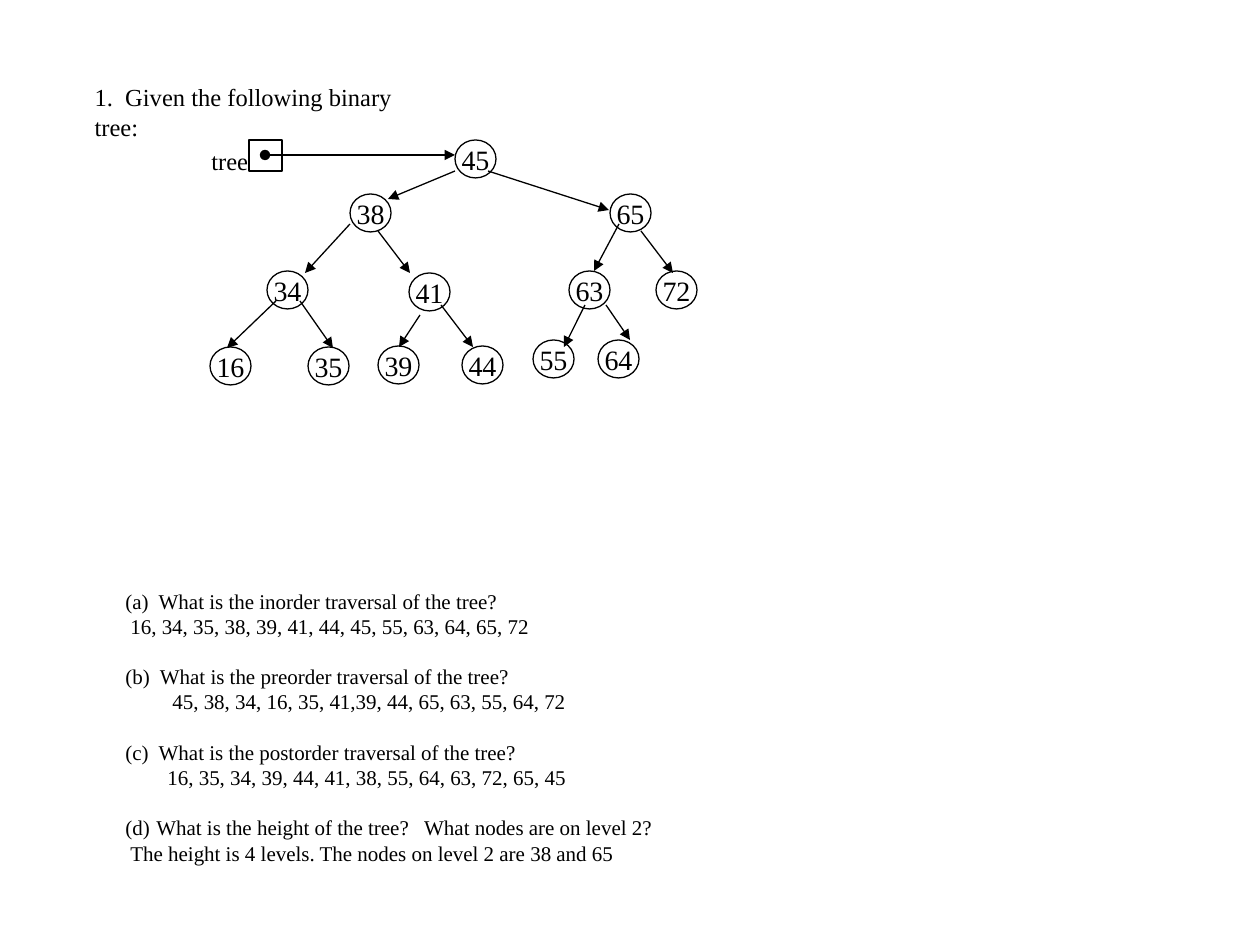
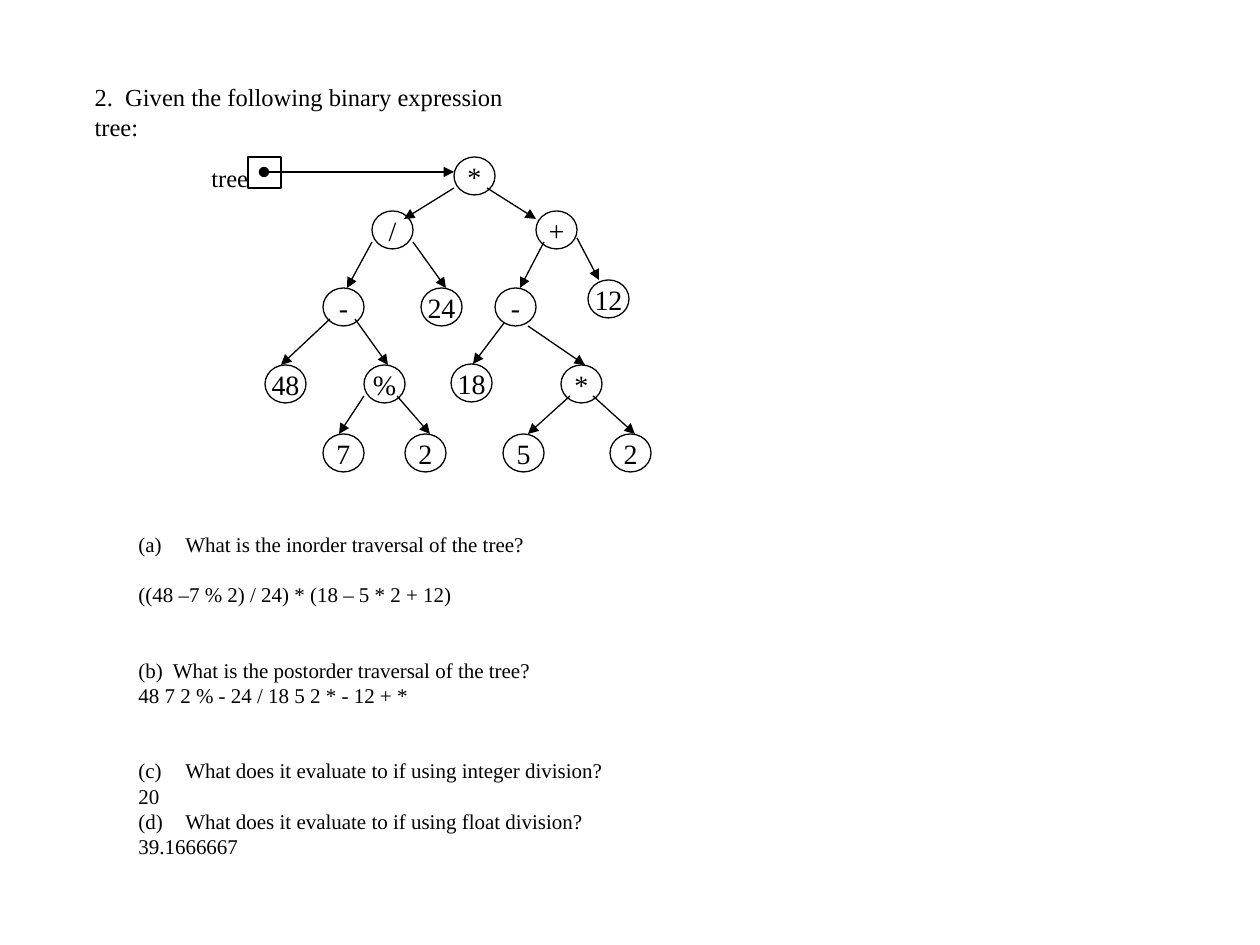
from pptx import Presentation
from pptx.dml.color import RGBColor
from pptx.enum.shapes import MSO_CONNECTOR, MSO_SHAPE
from pptx.enum.text import MSO_ANCHOR, MSO_AUTO_SIZE, PP_ALIGN
from pptx.oxml.ns import qn
from pptx.util import Pt
from lxml import etree

EMU_PER_PIXEL = 914400 / 126
BLACK = RGBColor(0, 0, 0)
FONT = "Times New Roman"
LINE_WIDTH = Pt(0.75)
LINE_SPACING = 1.2
HEADING_SIZE, QUESTION_SIZE, NODE_SIZE = 14, 12, 16
NODE_WIDTH, NODE_HEIGHT = 41, 38
ELLIPSE, RECTANGLE = MSO_SHAPE.OVAL, MSO_SHAPE.RECTANGLE
STRAIGHT = MSO_CONNECTOR.STRAIGHT
LEFT, CENTER = PP_ALIGN.LEFT, PP_ALIGN.CENTER

TEXT_FRAME = {"auto_size": MSO_AUTO_SIZE.NONE, "word_wrap": True,
              "vertical_anchor": MSO_ANCHOR.TOP}
LABEL_FRAME = {**TEXT_FRAME, "word_wrap": False}
NODE_FRAME = {**LABEL_FRAME, "vertical_anchor": MSO_ANCHOR.MIDDLE,
              "margin_left": 0, "margin_right": 0, "margin_top": 0, "margin_bottom": 0}

# Nodes: label, left, top. Arrows: start x, start y, end x, end y.
# Questions: text, indent, blank lines above, list number (None for plain text).
SLIDES = [
    {
        "title": "1.  Given the following binary tree:",
        "title_width": 365,
        "pointer": (249, 140),
        "nodes": [
            ("45", 455, 140), ("38", 350, 194), ("65", 610, 194),
            ("34", 267, 271), ("41", 409, 273), ("63", 569, 271), ("72", 656, 271),
            ("16", 210, 347), ("35", 308, 347), ("39", 378, 346), ("44", 462, 346),
            ("55", 533, 340), ("64", 598, 340),
        ],
        "arrows": [
            (455, 171, 388, 199), (488, 171, 609, 210),
            (350, 224, 305, 273), (378, 231, 410, 273),
            (619, 224, 594, 271), (641, 231, 673, 273),
            (276, 301, 227, 348), (300, 301, 333, 348),
            (420, 315, 399, 347), (441, 305, 473, 347),
            (585, 305, 564, 347), (606, 305, 630, 340),
        ],
        "question_box": (113, 582, 666, 292),
        "questions": [
            ("(a)  What is the inorder traversal of the tree?", 0, 0, None),
            ("16, 34, 35, 38, 39, 41, 44, 45, 55, 63, 64, 65, 72", 5, 0, None),
            ("(b)  What is the preorder traversal of the tree?", 0, 1, None),
            ("45, 38, 34, 16, 35, 41,39, 44, 65, 63, 55, 64, 72", 47, 0, None),
            ("(c)  What is the postorder traversal of the tree?", 0, 1, None),
            ("16, 35, 34, 39, 44, 41, 38, 55, 64, 63, 72, 65, 45", 42, 0, None),
            ("What is the height of the tree?   What nodes are on level 2?", 31, 1, 4),
            ("The height is 4 levels. The nodes on level 2 are 38 and 65", 5, 0, None),
        ],
    },
    {
        "title": "2.  Given the following binary expression tree:",
        "title_width": 475,
        "pointer": (248, 157),
        "nodes": [
            ("*", 454, 157), ("/", 372, 211), ("+", 536, 211),
            ("-", 323, 288), ("24", 421, 288), ("-", 495, 288), ("12", 588, 280),
            ("48", 265, 365), ("%", 364, 365), ("18", 451, 364), ("*", 561, 365),
            ("7", 323, 434), ("2", 405, 434), ("5", 503, 434), ("2", 610, 434),
        ],
        "arrows": [
            (454, 188, 404, 219), (487, 188, 536, 219),
            (372, 242, 347, 288), (413, 242, 446, 288),
            (544, 242, 520, 288), (577, 238, 599, 280),
            (330, 319, 281, 365), (355, 319, 388, 365),
            (504, 323, 473, 364), (528, 326, 585, 365),
            (364, 396, 339, 434), (397, 396, 430, 434),
            (570, 396, 528, 434), (593, 396, 635, 434),
        ],
        "question_box": (126, 525, 496, 394),
        "questions": [
            ("What is the inorder traversal of the tree?", 47, 0, 1),
            ("((48 –7 % 2) / 24) * (18 – 5 * 2 + 12)", 0, 1, None),
            ("(b)  What is the postorder traversal of the tree?", 0, 2, None),
            ("48 7 2 % - 24 / 18 5 2 * - 12 + *", 0, 0, None),
            ("What does it evaluate to if using integer division?", 47, 2, 3),
            ("20", 0, 0, None),
            ("What does it evaluate to if using float division?", 47, 0, 4),
            ("39.1666667", 0, 0, None),
        ],
    },
]


def pixels(*lengths):
    """Turn pixel lengths into a list of EMU lengths."""
    return [round(length * EMU_PER_PIXEL) for length in lengths]


def write(shape, lines, size, frame_format, alignment=LEFT):
    """Fill a shape with lines of (text, indent, blank lines above, list number)."""
    frame = shape.text_frame
    for name, value in frame_format.items():
        setattr(frame, name, value)
    for index, (text, indent, blank_lines, number) in enumerate(lines):
        paragraph = frame.add_paragraph() if index else frame.paragraphs[0]
        paragraph.alignment = alignment
        paragraph.line_spacing = Pt(size * LINE_SPACING)
        paragraph.space_before = Pt(size * LINE_SPACING * blank_lines)
        run = paragraph.add_run()
        run.text = text
        for name, value in {"name": FONT, "size": Pt(size), "bold": False}.items():
            setattr(run.font, name, value)
        run.font.color.rgb = BLACK
        properties = paragraph._p.get_or_add_pPr()
        margin = pixels(indent)[0]
        properties.set("marL", str(margin))
        properties.set("indent", str(-margin if number else 0))
        if number:
            etree.SubElement(properties, qn("a:buAutoNum"),
                             type="alphaLcParenBoth", startAt=str(number))


presentation = Presentation()
presentation.slide_width, presentation.slide_height = pixels(1260, 945)
title_only = presentation.slide_layouts[5]

for content in SLIDES:
    slide = presentation.slides.add_slide(title_only)
    shapes = slide.shapes

    title = shapes.title
    title.left, title.top, title.width, title.height = pixels(
        82, 76, content["title_width"], 42)
    write(title, [(content["title"], 0, 0, None)], HEADING_SIZE, TEXT_FRAME)

    questions = shapes.add_textbox(*pixels(*content["question_box"]))
    write(questions, content["questions"], QUESTION_SIZE, TEXT_FRAME)

    # Nodes of the tree and the box of the pointer to its root
    pointer_left, pointer_top = content["pointer"]
    outlines = [(ELLIPSE, label, left, top, NODE_WIDTH, NODE_HEIGHT)
                for label, left, top in content["nodes"]]
    outlines.append((RECTANGLE, "", pointer_left, pointer_top, 33, 31))
    for kind, label, *place in outlines:
        shape = shapes.add_shape(kind, *pixels(*place))
        shape.shadow.inherit = False
        shape.fill.background()
        shape.line.color.rgb = BLACK
        shape.line.width = LINE_WIDTH
        if label:
            write(shape, [(label, 0, 0, None)], NODE_SIZE, NODE_FRAME, CENTER)

    pointer_label = shapes.add_textbox(*pixels(199, pointer_top, 62, 42))
    write(pointer_label, [("tree", 0, 0, None)], HEADING_SIZE, LABEL_FRAME)

    # Arrows between nodes, then the one from the pointer to the root
    root_left = content["nodes"][0][1]
    arrow_y = pointer_top + 15
    arrows = [(arrow, "none") for arrow in content["arrows"]]
    arrows.append(((pointer_left + 16, arrow_y, root_left, arrow_y), "oval"))
    for ends, start_mark in arrows:
        connector = shapes.add_connector(STRAIGHT, *pixels(*ends))
        connector.line.color.rgb = BLACK
        connector.line.width = LINE_WIDTH
        line = connector.line._get_or_add_ln()
        etree.SubElement(line, qn("a:headEnd"), type=start_mark)
        etree.SubElement(line, qn("a:tailEnd"), type="triangle")
        etree.SubElement(connector._element.spPr, qn("a:effectLst"))

presentation.save("out.pptx")
